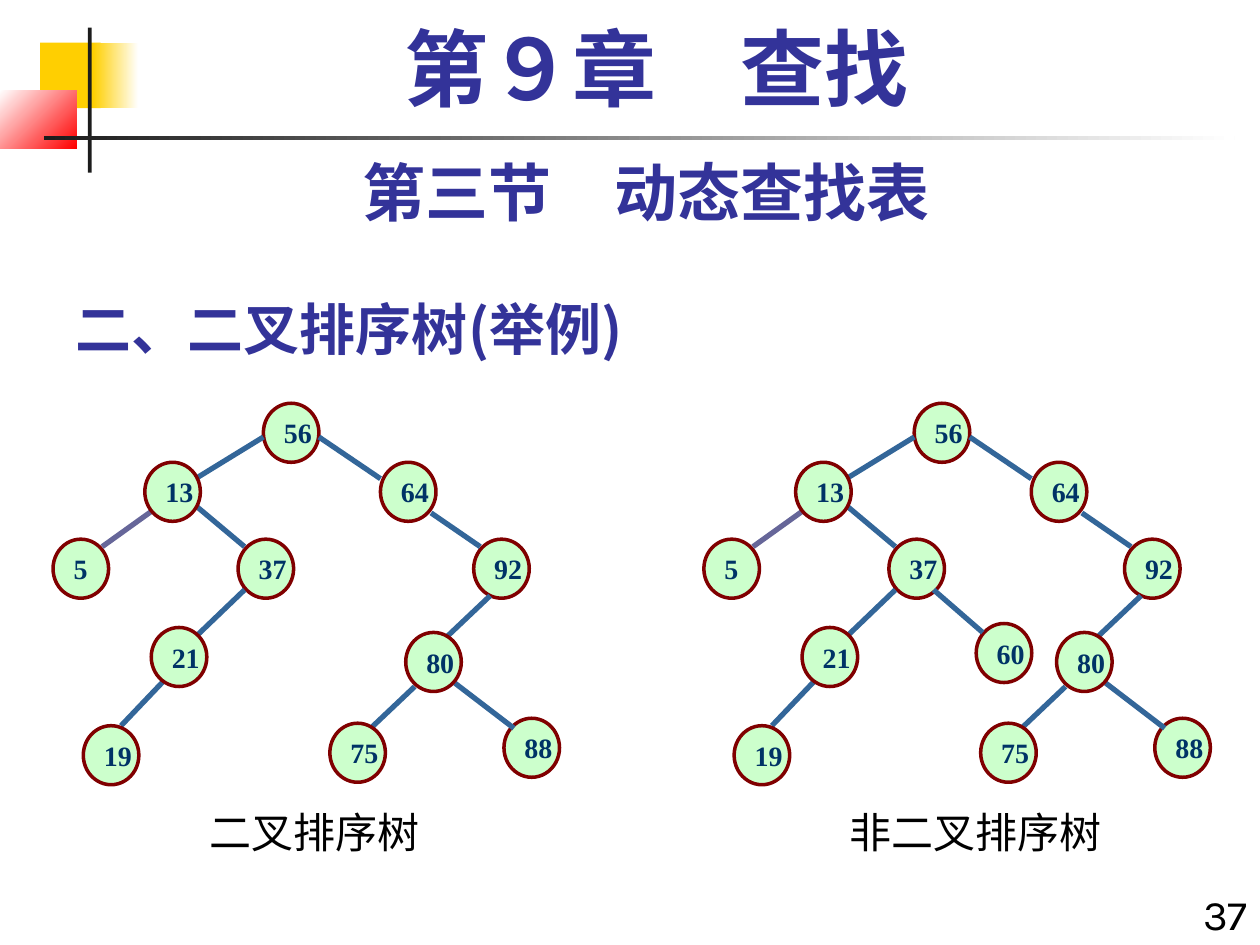
import lxml.etree
import pptx
import pptx.dml.color
import pptx.enum.shapes
import pptx.enum.text
import pptx.oxml.ns
import pptx.util

Cm = pptx.util.Cm
Pt = pptx.util.Pt
ALIGN = pptx.enum.text.PP_ALIGN
ANCHOR = pptx.enum.text.MSO_ANCHOR
SHAPE = pptx.enum.shapes.MSO_SHAPE

INDIGO = "333399"
STEEL = "336699"
VIOLET = "666699"
HAN_FONT = "Noto Sans CJK SC"

NODE_WIDTH, NODE_HEIGHT = 1.12, 1.19
TREE_SHIFT = 13.12

# Left and top of each node, in centimetres, within the left-hand tree.
NODES_BELOW_EDGES = {
    "56": (5.31, 8.13), "64": (7.67, 9.32), "5": (1.07, 10.87),
    "92": (9.55, 10.87), "37": (4.80, 10.87), "88": (10.16, 14.48),
}
NODES_ABOVE_EDGES = {
    "19": (1.68, 14.63), "80": (8.18, 12.75), "21": (3.05, 12.65),
    "13": (2.92, 9.32), "75": (6.65, 14.58),
}
# Start and end of each edge, and its colour.
EDGES = [
    (5.31, 8.81, 3.94, 9.65, STEEL),     # 56 to 13
    (3.05, 10.31, 2.06, 11.02, VIOLET),  # 13 to 5
    (6.43, 8.81, 7.67, 9.65, STEEL),     # 56 to 64
    (3.94, 10.19, 4.93, 11.02, STEEL),   # 13 to 37
    (4.93, 11.89, 3.71, 13.06, STEEL),   # 37 to 21
    (8.69, 10.34, 9.68, 11.02, STEEL),   # 64 to 92
    (9.88, 12.01, 8.94, 12.90, STEEL),   # 92 to 80
    (9.17, 13.77, 10.36, 14.68, STEEL),  # 80 to 88
    (3.43, 13.59, 2.44, 14.63, STEEL),   # 21 to 19
    (8.36, 13.84, 7.42, 14.73, STEEL),   # 80 to 75
]
MISPLACED_NODE = {"60": (6.56, 12.57)}
MISPLACED_EDGE = (5.70, 11.89, 6.69, 12.75, STEEL)  # 37 to 60


def colour(value):
    return pptx.dml.color.RGBColor.from_string(value)


def write(shape, text, size, color, font="Karla", bold=False, align=ALIGN.LEFT,
          anchor=ANCHOR.TOP, wrap=True, before=0, spacing=None):
    frame = shape.text_frame
    frame.word_wrap = wrap
    frame.auto_size = pptx.enum.text.MSO_AUTO_SIZE.NONE
    frame.vertical_anchor = anchor
    para = frame.paragraphs[0]
    para.alignment = align
    para.space_before = Pt(before)
    if spacing:
        para.line_spacing = spacing
    span = para.add_run()
    span.text = text
    span.font.size = Pt(size)
    span.font.bold = bold
    span.font.name = font
    span.font.color.rgb = colour(color)
    east_asian = lxml.etree.SubElement(span.font._element, pptx.oxml.ns.qn("a:ea"))
    east_asian.set("typeface", HAN_FONT)
    span.font._element.find(pptx.oxml.ns.qn("a:latin")).addnext(east_asian)


def add_text_box(page, left, top, width, height, text, **text_format):
    box = page.shapes.add_textbox(Cm(left), Cm(top), Cm(width), Cm(height))
    write(box, text, **text_format)


def add_block(page, left, top, width, height, start, end=None, angle=0):
    """Add a borderless rectangle, shaded from start to end if end is given."""
    block = page.shapes.add_shape(
        SHAPE.RECTANGLE, Cm(left), Cm(top), Cm(width), Cm(height))
    block.shadow.inherit = False
    block.line.fill.background()
    if end is None:
        block.fill.solid()
        block.fill.fore_color.rgb = colour(start)
        return
    block.fill.gradient()
    block.fill.gradient_angle = angle
    for stop, position, value in zip(block.fill.gradient_stops, (0, 1), (start, end)):
        stop.position = position
        stop.color.rgb = colour(value)


def add_decoration(page):
    add_block(page, 0.81, 0.86, 1.22, 1.32, "FFCF01")
    add_block(page, 1.88, 0.86, 0.91, 1.32, "FFCF01", "FFFFFF")
    add_block(page, 0, 1.83, 1.55, 1.17, "FFFFFF", "FF0000", angle=315)
    add_block(page, 1.77, 0.56, 0.08, 2.92, "1C1C1C")
    add_block(page, 0.89, 2.74, 24, 0.08, "1C1C1C", "FFFFFF")


def add_nodes(group, nodes, shift):
    for key, (left, top) in nodes.items():
        node = group.shapes.add_shape(SHAPE.OVAL, Cm(left + shift), Cm(top),
                                      Cm(NODE_WIDTH), Cm(NODE_HEIGHT))
        node.shadow.inherit = False
        node.fill.solid()
        node.fill.fore_color.rgb = colour("CCFFCC")
        node.line.color.rgb = colour("800000")
        node.line.width = Pt(2)
        write(node, key, size=16, color="003366", font="Times New Roman",
              bold=True, anchor=ANCHOR.MIDDLE, wrap=False)


def add_edge(group, edge, shift):
    x1, y1, x2, y2, color = edge
    line = group.shapes.add_connector(
        pptx.enum.shapes.MSO_CONNECTOR.STRAIGHT,
        Cm(x1 + shift), Cm(y1), Cm(x2 + shift), Cm(y2))
    line.line.color.rgb = colour(color)
    line.line.width = Pt(3)
    lxml.etree.SubElement(line._element.spPr, pptx.oxml.ns.qn("a:effectLst"))


def add_tree(page, shift=0):
    group = page.shapes.add_group_shape()
    add_nodes(group, NODES_BELOW_EDGES, shift)
    for edge in EDGES:
        add_edge(group, edge, shift)
    add_nodes(group, NODES_ABOVE_EDGES, shift)
    return group


def add_title(page, text):
    title = page.shapes.title
    title.left, title.top = Cm(1.27), Cm(5.51)
    title.width, title.height = Cm(15.88), Cm(1.9)
    write(title, text, size=32, color=INDIGO, font=HAN_FONT, bold=True,
          anchor=ANCHOR.BOTTOM)


def main():
    deck = pptx.Presentation()
    deck.slide_width, deck.slide_height = Cm(25.4), Cm(19.05)
    page = deck.slides.add_slide(deck.slide_layouts[5])

    add_decoration(page)
    add_title(page, "二、二叉排序树(举例)")
    add_text_box(page, 23.7, 17.78, 1.7, 1.5, "37", size=24, color="000000",
                 align=ALIGN.RIGHT, before=15)
    add_text_box(page, 1.27, 2.97, 23.5, 1.78, "第三节　动态查找表", size=36,
                 color=INDIGO, bold=True, align=ALIGN.CENTER, before=22.5)
    add_text_box(page, 1.7, 0.43, 23.06, 2.11, "第９章　查找", size=48,
                 color=INDIGO, font="Times New Roman", bold=True,
                 align=ALIGN.CENTER, before=12, spacing=0.9)
    for left, caption in ((3.38, "二叉排序树"), (16.71, "非二叉排序树")):
        add_text_box(page, left, 16.13, 5.92, 1.27, caption, size=24,
                     color="000000", align=ALIGN.CENTER, before=15)

    add_tree(page)
    broken_tree = add_tree(page, TREE_SHIFT)
    add_nodes(broken_tree, MISPLACED_NODE, TREE_SHIFT)
    add_edge(broken_tree, MISPLACED_EDGE, TREE_SHIFT)

    deck.save("out.pptx")


if __name__ == "__main__":
    main()
